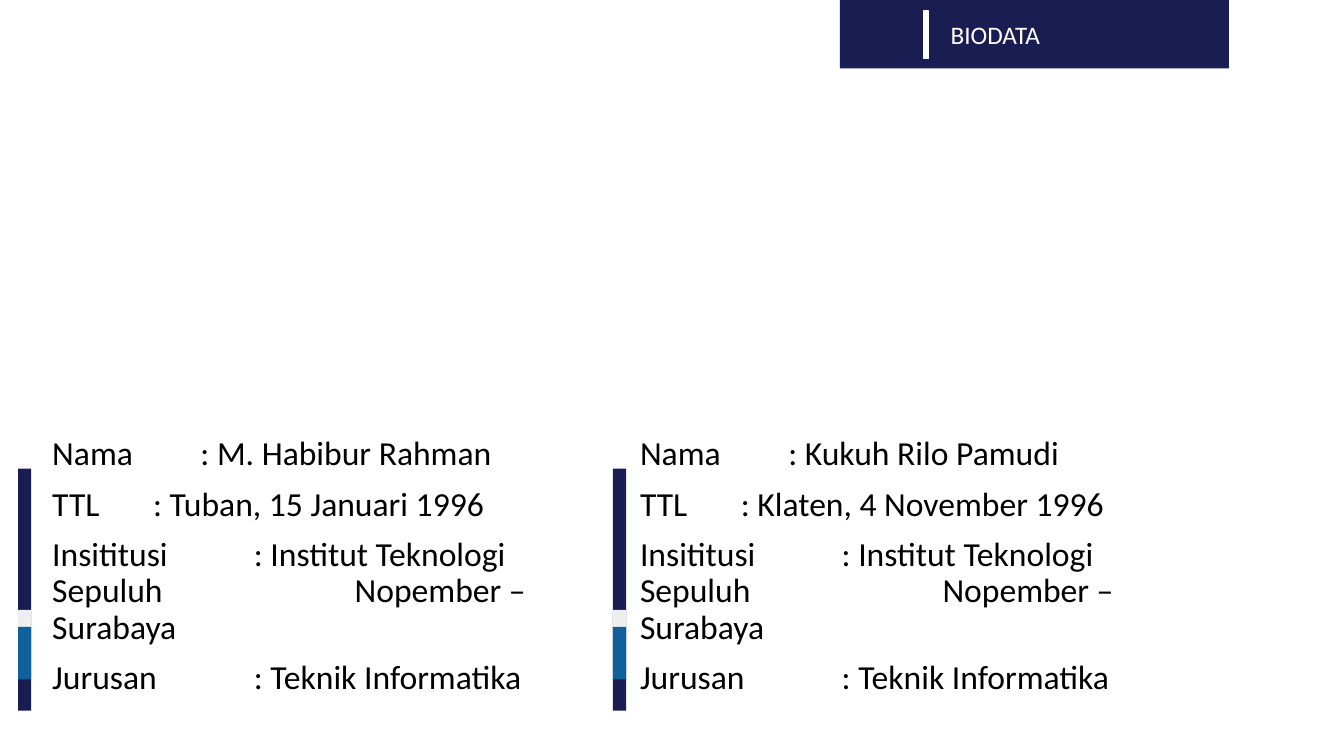
"""Build the biodata slide with two profiles and a header tab."""
from pptx import Presentation
from pptx.dml.color import RGBColor as RGB
from pptx.enum.shapes import MSO_SHAPE as Shape
from pptx.enum.text import MSO_ANCHOR as Anchor, PP_ALIGN as Align
from pptx.oxml.ns import qn
from pptx.util import Inches, Pt
from lxml.etree import SubElement

COLORS = {"navy": "1A1D52", "gray": "EEEEEE", "blue": "10609D",
          "white": "FFFFFF", "black": "000000"}


def add_bar(left, top, width, height, color):
    bar = slide.shapes.add_shape(Shape.RECTANGLE, Inches(left), Inches(top),
                                 Inches(width), Inches(height))
    bar.shadow.inherit = False
    bar.fill.solid()
    bar.fill.fore_color.rgb = RGB.from_string(COLORS[color])
    bar.line.fill.background()
    return bar


def set_text(para, text, size, color, stops):
    para.text = text
    para.alignment = Align.LEFT
    tabs = SubElement(para._p.get_or_add_pPr(), qn("a:tabLst"))
    for stop in stops:
        SubElement(tabs, qn("a:tab"), pos=str(Inches(stop)), algn="l")
    font = para.runs[0].font
    font.name = "Calibri"
    font.size = Pt(size)
    font.color.rgb = RGB.from_string(COLORS[color])


deck = Presentation()
deck.slide_width = Inches(13.33)
deck.slide_height = Inches(7.5)
slide = deck.slides.add_slide(deck.slide_layouts[6])

people = [
    (0.42, 5.64, "M. Habibur Rahman", "Tuban, 15 Januari 1996"),
    (6.25, 5.67, "Kukuh Rilo Pamudi", "Klaten, 4 November 1996"),
]
for left, width, name, birth in people:
    box = slide.shapes.add_textbox(Inches(left), Inches(4.41),
                                   Inches(width), Inches(2.55))
    frame = box.text_frame
    frame.word_wrap = True
    frame.vertical_anchor = Anchor.BOTTOM
    rows = [
        (f"Nama\t: {name}", [1.47]),
        (f"TTL\t: {birth}", [1]),
        ("Insititusi\t: Institut Teknologi Sepuluh \t\tNopember – Surabaya", [2, 3]),
        ("Jurusan\t: Teknik Informatika", [2]),
    ]
    for i, (text, stops) in enumerate(rows):
        para = frame.add_paragraph() if i else frame.paragraphs[0]
        para.line_spacing = 0.9
        para.space_before = Pt(10)
        set_text(para, text, 24, "black", stops)

for left in (0.18, 6.08):
    for top, height, color in [(4.65, 2.4, "navy"), (6.05, 0.17, "gray"),
                               (6.22, 0.52, "blue")]:
        add_bar(left, top, 0.13, height, color)

header = add_bar(8.33, 0, 3.86, 0.68, "navy")
header.text_frame.vertical_anchor = Anchor.MIDDLE
set_text(header.text_frame.paragraphs[0], "\tBIODATA", 18, "white", [1])

mark = add_bar(9.16, 0.11, 0.05, 0.47, "white")
mark.line.color.rgb = RGB.from_string(COLORS["white"])
mark.line.width = Pt(1)

deck.save("out.pptx")
